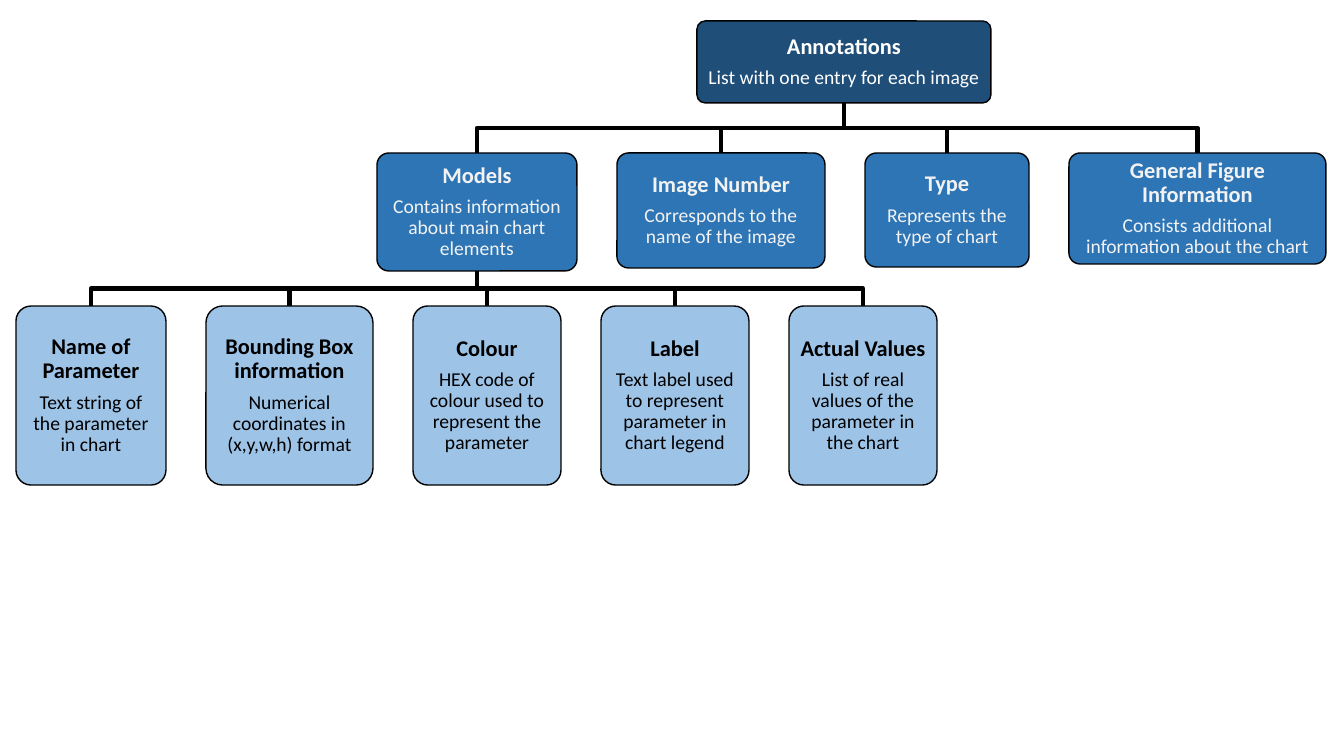
from pptx import Presentation
from pptx import util as u
from pptx.dml.color import RGBColor
from pptx.enum import shapes, text

PX = 914400 / 100.8
GAP = 40
INSET = 7

NAVY = RGBColor(0x1F, 0x4E, 0x79)
BLUE = RGBColor(0x2E, 0x75, 0xB6)
PALE_BLUE = RGBColor(0x9D, 0xC3, 0xE6)
WHITE = RGBColor(0xFF, 0xFF, 0xFF)
OFF_WHITE = RGBColor(0xF2, 0xF2, 0xF2)
BLACK = RGBColor(0x00, 0x00, 0x00)

ANNOTATIONS = [("Annotations", "List with one entry for each image", 294, 82)]
FIELDS = [
    ("Models", "Contains information about main chart elements", 200, 118),
    ("Image Number", "Corresponds to the name of the image", 208, 115),
    ("Type", "Represents the type of chart", 164, 114),
    ("General Figure Information", "Consists additional information about the chart", 257, 111),
]
MODEL_PARTS = [
    ("Name of Parameter", "Text string of the parameter in chart", 150, 179),
    ("Bounding Box information", "Numerical coordinates in (x,y,w,h) format", 167, 179),
    ("Colour", "HEX code of colour used to represent the parameter", 148, 179),
    ("Label", "Text label used to represent parameter in chart legend", 148, 179),
    ("Actual Values", "List of real values of the parameter in the chart", 148, 179),
]


def px(length):
    """Turn a length in px into EMU."""
    return u.Emu(round(length * PX))


def add_node(slide, box, heading, detail, fill, ink):
    """Draw one rounded node with its heading and detail in the given box."""
    node = slide.shapes.add_shape(
        shapes.MSO_SHAPE.ROUNDED_RECTANGLE, *(px(side) for side in box))
    node.adjustments[0] = 0.1
    node.shadow.inherit = False
    node.fill.solid()
    node.fill.fore_color.rgb = fill
    node.line.color.rgb = BLACK
    node.line.width = u.Pt(1)

    frame = node.text_frame
    frame.word_wrap = True
    frame.vertical_anchor = text.MSO_ANCHOR.MIDDLE
    frame.margin_left = frame.margin_right = px(INSET)
    frame.margin_top = frame.margin_bottom = px(INSET)
    lines = ((frame.paragraphs[0], heading, 16, True),
             (frame.add_paragraph(), detail, 14, False))
    for paragraph, wording, size, bold in lines:
        paragraph.alignment = text.PP_ALIGN.CENTER
        paragraph.line_spacing = 0.9
        paragraph.space_after = u.Pt(6)
        run = paragraph.add_run()
        run.text = wording
        run.font.name = "Calibri"
        run.font.size = u.Pt(size)
        run.font.bold = bold
        run.font.color.rgb = ink


def add_branch(slide, parent, child):
    """Draw the stepped line from the foot of the parent box to the top of the child box."""
    start_x, start_y = parent[0] + parent[2] / 2, parent[1] + parent[3]
    end_x, end_y = child[0] + child[2] / 2, child[1]
    bend_y = (start_y + end_y) / 2
    outline = slide.shapes.build_freeform(px(start_x), px(start_y))
    outline.add_line_segments(
        [(px(start_x), px(bend_y)), (px(end_x), px(bend_y)), (px(end_x), px(end_y))],
        close=False)
    branch = outline.convert_to_shape()
    branch.shadow.inherit = False
    branch.fill.background()
    branch.line.color.rgb = BLACK
    branch.line.width = u.Pt(3)


def add_level(slide, left, top, entries, fill, ink, parent=None):
    """Draw a row of nodes under their parent and return the boxes."""
    boxes = []
    for heading, detail, width, height in entries:
        box = (left, top, width, height)
        if parent:
            add_branch(slide, parent, box)
        add_node(slide, box, heading, detail, fill, ink)
        boxes.append(box)
        left += width + GAP
    return boxes


def main():
    """Build the annotation hierarchy slide."""
    deck = Presentation()
    deck.slide_width, deck.slide_height = px(1344), px(756)
    slide = deck.slides.add_slide(deck.slide_layouts[6])
    root = add_level(slide, 697, 21, ANNOTATIONS, NAVY, WHITE)[0]
    models = add_level(slide, 377, 153, FIELDS, BLUE, OFF_WHITE, root)[0]
    add_level(slide, 16, 306, MODEL_PARTS, PALE_BLUE, BLACK, models)
    deck.save("out.pptx")


if __name__ == "__main__":
    main()
